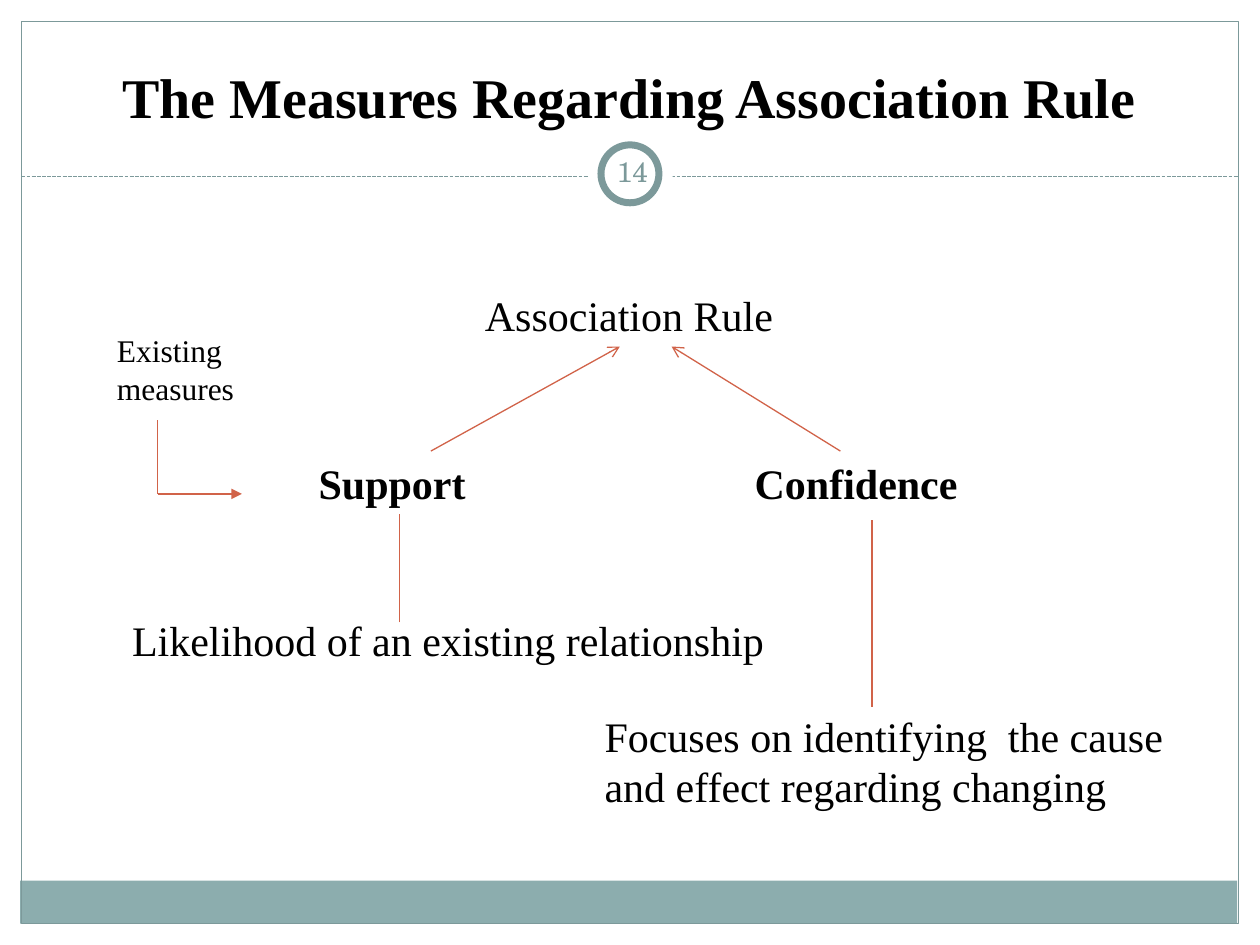
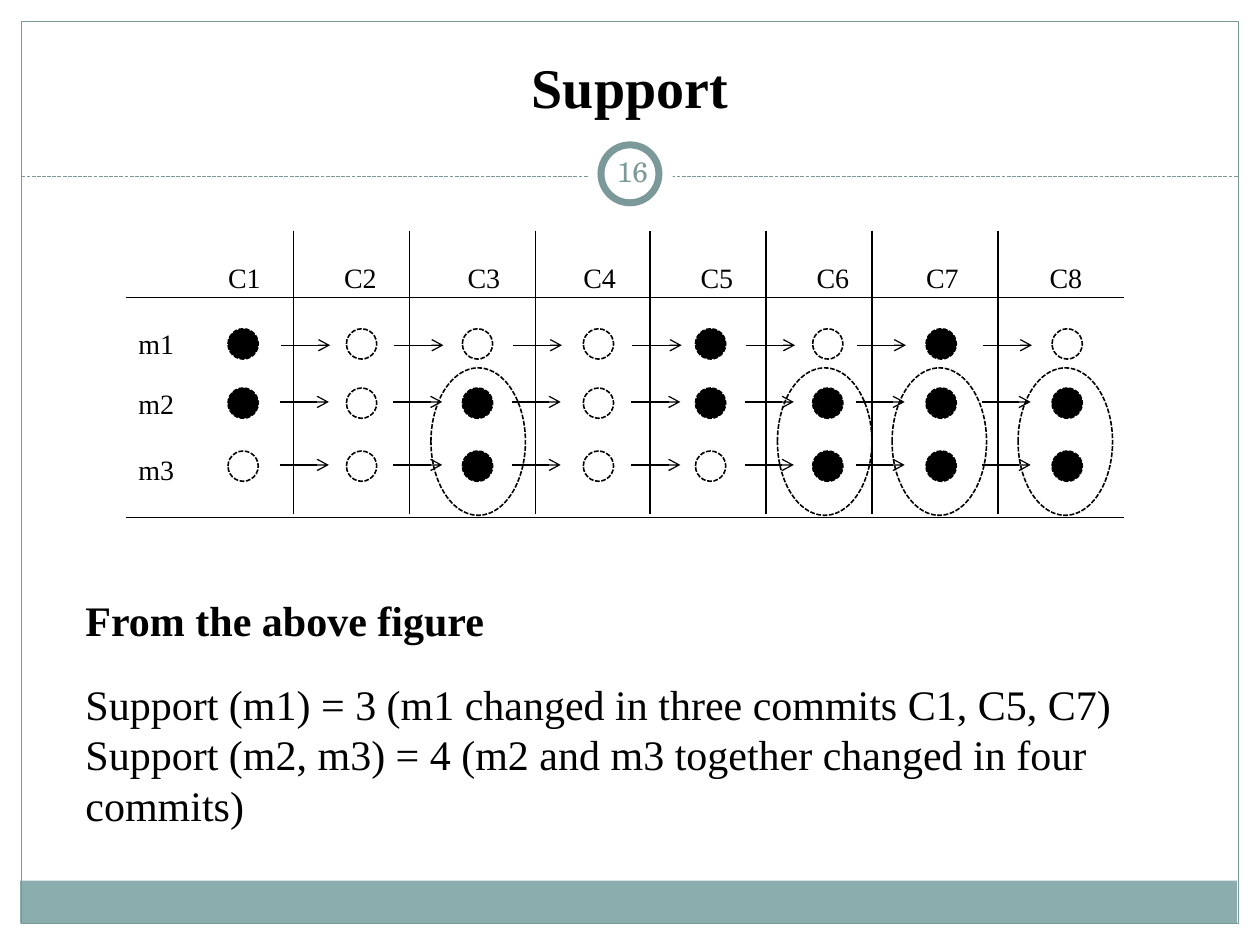
import lxml.etree
import pptx
import pptx.dml.color
import pptx.enum.dml
import pptx.enum.shapes
import pptx.enum.text
import pptx.oxml.ns
import pptx.util

Inches = pptx.util.Inches
Pt = pptx.util.Pt
Shape = pptx.enum.shapes.MSO_SHAPE
Anchor = pptx.enum.text.MSO_ANCHOR
Align = pptx.enum.text.PP_ALIGN
AutoSize = pptx.enum.text.MSO_AUTO_SIZE

COLORS = {
    "ink": "000000",
    "white": "FFFFFF",
    "frame": "7C999A",
    "band": "8CADAE",
    "accent": "D16349",
}
BODY_FONT = "Times New Roman"
NUMBER_FONT = "TeX Gyre Schola"


def rgb(name):
    return pptx.dml.color.RGBColor.from_string(COLORS[name])


def apply(target, values):
    for name, value in values.items():
        setattr(target, name, value)


class Deck:
    """Holds the shared style and the current slide."""

    def __init__(self):
        self.prs = pptx.Presentation()
        apply(self.prs, {"slide_width": Inches(10), "slide_height": Inches(7.5)})
        self.s = None

    def new_slide(self, title, number, title_box):
        self.s = self.prs.slides.add_slide(self.prs.slide_layouts[6])
        # Band, frame and divider
        self.shape(Shape.RECTANGLE, 0.16, 6.99, 9.66, 0.34, fill="band")
        self.shape(Shape.RECTANGLE, 0.17, 0.17, 9.66, 7.16, line="frame")
        self.line(0.17, 1.4, 9.83, 1.4, "frame", dashed=True)
        # Number badge
        self.shape(Shape.OVAL, 4.67, 1.05, 0.67, 0.67, fill="white")
        self.shape(Shape.OVAL, 4.77, 1.15, 0.46, 0.46, "white", "frame", 4)
        inset = Inches(0.05)
        self.text(4.77, 1.12, 0.5, 0.48, [str(number)], 16, color="frame",
                  font=NUMBER_FONT, align=Align.CENTER,
                  frame={"vertical_anchor": Anchor.MIDDLE,
                         "auto_size": AutoSize.NONE,
                         "margin_left": inset, "margin_right": inset,
                         "margin_top": inset, "margin_bottom": inset})
        # Title
        self.text(*title_box, [title], 32, bold=True, align=Align.CENTER,
                  frame={"vertical_anchor": Anchor.BOTTOM,
                         "auto_size": AutoSize.NONE})

    def outline(self, ln, color, width, dashed):
        ln.color.rgb = rgb(color)
        ln.width = Pt(width)
        if dashed:
            ln.dash_style = pptx.enum.dml.MSO_LINE.SQUARE_DOT

    def shape(self, kind, x, y, w, h, fill=None, line=None, width=0.75,
              dashed=False):
        sp = self.s.shapes.add_shape(kind, Inches(x), Inches(y),
                                     Inches(w), Inches(h))
        sp.shadow.inherit = False
        if fill:
            sp.fill.solid()
            sp.fill.fore_color.rgb = rgb(fill)
        else:
            sp.fill.background()
        if line:
            self.outline(sp.line, line, width, dashed)
        else:
            sp.line.fill.background()
        return sp

    def line(self, x1, y1, x2, y2, color="ink", head=None, dashed=False):
        cn = self.s.shapes.add_connector(
            pptx.enum.shapes.MSO_CONNECTOR.STRAIGHT,
            Inches(x1), Inches(y1), Inches(x2), Inches(y2))
        self.outline(cn.line, color, 0.75, dashed)
        qn = pptx.oxml.ns.qn
        if head:
            ln = cn.line._get_or_add_ln()
            lxml.etree.SubElement(ln, qn("a:tailEnd"), type=head)
        lxml.etree.SubElement(cn._element.spPr, qn("a:effectLst"))
        return cn

    def text(self, x, y, w, h, paragraphs, size=24, bold=False, color="ink",
             font=BODY_FONT, align=Align.LEFT, gaps=(), bold_first=False,
             frame=None):
        sp = self.s.shapes.add_textbox(Inches(x), Inches(y),
                                       Inches(w), Inches(h))
        tf = sp.text_frame
        apply(tf, {"word_wrap": True, "auto_size": AutoSize.SHAPE_TO_FIT_TEXT,
                   **(frame or {})})
        for i, words in enumerate(paragraphs):
            p = tf.paragraphs[0] if i == 0 else tf.add_paragraph()
            p.alignment = align
            if i < len(gaps):
                p.space_before = Pt(gaps[i])
            r = p.add_run()
            r.text = words
            apply(r.font, {"name": font, "size": Pt(size),
                           "bold": bold or (bold_first and i == 0)})
            r.font.color.rgb = rgb(color)
        return sp


def measures_slide(deck):
    deck.new_slide("The Measures Regarding Association Rule", 14,
                   (0.33, 0.25, 9.33, 0.83))
    # Rule and its two measures
    deck.text(3.75, 2.25, 2.75, 0.5, ["Association Rule"])
    support = deck.text(2.43, 3.58, 1.48, 0.5, ["Support"], bold=True)
    deck.text(5.89, 3.58, 1.95, 0.5, ["Confidence"], bold=True)
    deck.line(3.42, 3.58, 4.92, 2.75, "accent", "arrow")
    deck.line(6.67, 3.58, 5.33, 2.75, "accent", "arrow")
    # Explanations
    deck.text(0.95, 4.83, 5.39, 0.5, ["Likelihood of an existing relationship"])
    deck.text(4.7, 5.59, 4.93, 0.91,
              ["Focuses on identifying  the cause and effect regarding changing"])
    deck.line(3.17, 4.94, 3.17, 4.08, "accent").end_connect(support, 2)
    deck.line(6.92, 5.61, 6.92, 4.13, "accent")
    # Side note
    deck.text(0.83, 2.58, 1.58, 0.71, ["Existing measures"], 18)
    deck.line(1.25, 3.92, 1.92, 3.92, "accent", "triangle")
    deck.line(1.25, 3.92, 1.25, 3.33, "accent")


def support_slide(deck):
    deck.new_slide("Support", 16, (0.5, 0.33, 9, 0.67))
    # Per commit: dot left, label centre, and the arrow and rule that follow
    commits = [
        (1.81, 1.94, 2.23, 2.33),
        (2.75, 2.86, 3.13, 3.25),
        (3.67, 3.84, 4.07, 4.25),
        (4.63, 4.76, 5.02, 5.16),
        (5.52, 5.69, 5.92, 6.08),
        (6.45, 6.61, 6.8, 6.92),
        (7.35, 7.48, 7.8, 7.92),
        (8.35, 8.46, None, None),
    ]
    # Per module: dot top, arrow height, arrow shift, changed commits
    modules = [
        (2.61, 2.74, 0, {1, 5, 7}),
        (3.08, 3.19, -0.01, {1, 3, 5, 6, 7, 8}),
        (3.58, 3.69, -0.01, {3, 6, 7, 8}),
    ]

    # Ovals around commits that change m2 and m3 together
    for x in (3.42, 6.17, 7.08, 8.08):
        deck.shape(Shape.OVAL, x, 2.92, 0.75, 1.17, None, "ink", 0.9, True)

    # Commit columns
    for n, (dot_x, label_x, arrow_x, rule_x) in enumerate(commits, 1):
        deck.text(label_x - 0.3, 2.02, 0.6, 0.37, [f"C{n}"], 16,
                  align=Align.CENTER)
        for dot_y, arrow_y, shift, changed in modules:
            deck.shape(Shape.OVAL, dot_x, dot_y, 0.24, 0.24,
                       "ink" if n in changed else None, "ink", 0.9, True)
            if arrow_x:
                x = arrow_x + shift
                deck.line(x, arrow_y, x + 0.39, arrow_y, head="arrow")
        if rule_x:
            deck.line(rule_x, 1.83, rule_x, 4.08)

    # Module names and horizontal rules
    deck.text(1, 2.54, 0.63, 1.51, ["m1", "m2", "m3"], 16, gaps=(0, 15.5, 18))
    for y in (2.36, 4.11):
        deck.line(1, y, 8.92, y)

    # Reading of the figure
    deck.text(0.58, 4.67, 8.92, 2.02, [
        "From the above figure",
        "Support (m1) = 3 (m1 changed in three commits C1, C5, C7)",
        "Support (m2, m3) = 4 (m2 and m3 together changed in four commits)",
    ], gaps=(0, 19), bold_first=True)


def main():
    deck = Deck()
    measures_slide(deck)
    support_slide(deck)
    deck.prs.save("out.pptx")


if __name__ == "__main__":
    main()
